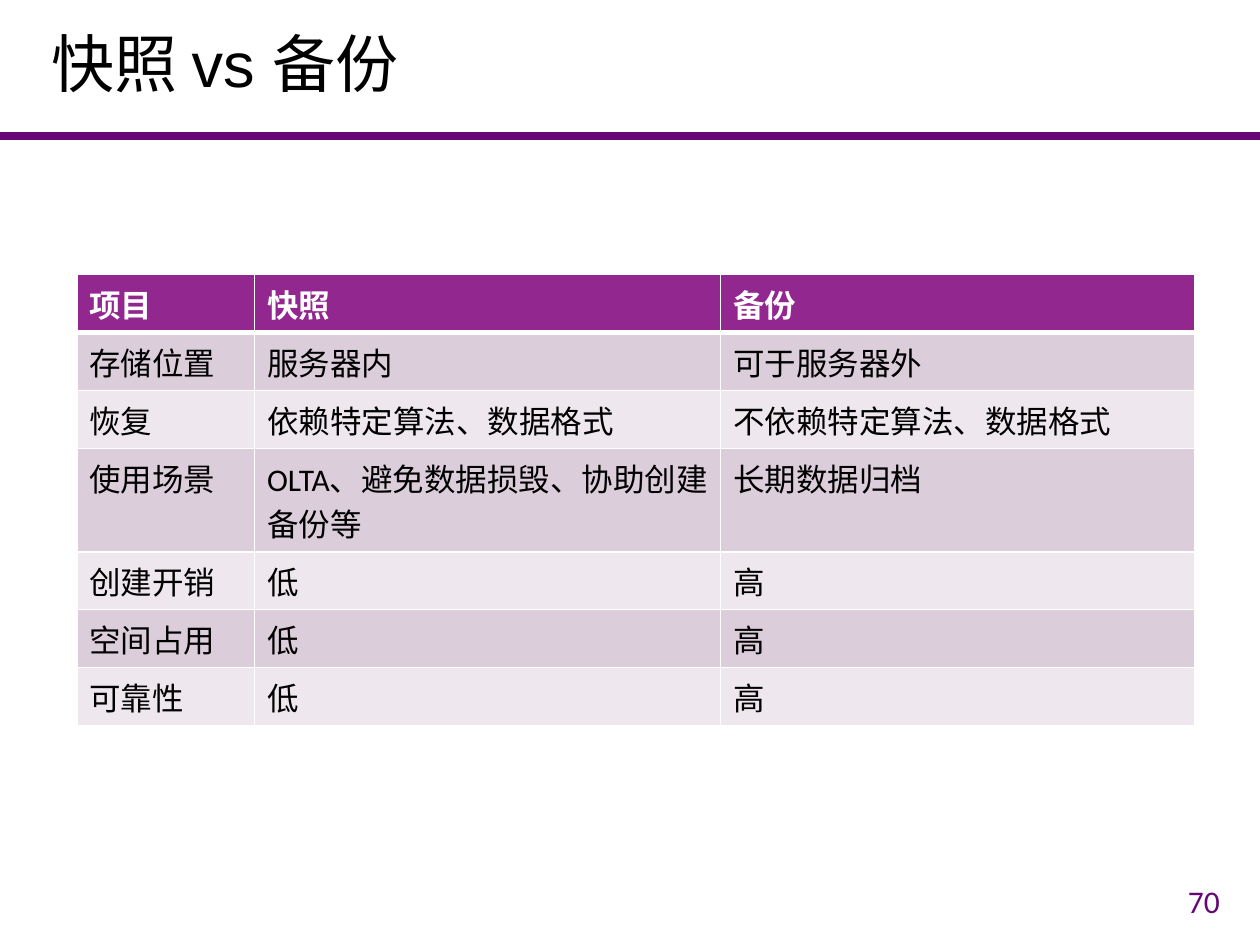
"""Build a slide that compares snapshots with backups in a table."""
from lxml import etree
from pptx import Presentation
from pptx.dml.color import RGBColor
from pptx.enum.shapes import MSO_CONNECTOR
from pptx.enum.text import MSO_ANCHOR, PP_ALIGN
from pptx.oxml.ns import qn
from pptx.util import Inches, Pt

STRAIGHT = MSO_CONNECTOR.STRAIGHT
MIDDLE = MSO_ANCHOR.MIDDLE
LEFT, RIGHT = PP_ALIGN.LEFT, PP_ALIGN.RIGHT

COLORS = {
    "accent": "670775",
    "header": "92278F",
    "odd_row": "DCCDDB",
    "even_row": "EEE8EE",
    "text": "000000",
    "white": "FFFFFF",
}
COLUMN_WIDTHS = [1.41, 3.7, 3.76]
ROW_HEIGHTS = [0.46, 0.46, 0.46, 0.82, 0.46, 0.46, 0.46]
COMPARISON = [
    ("项目", "快照", "备份"),
    ("存储位置", "服务器内", "可于服务器外"),
    ("恢复", "依赖特定算法、数据格式", "不依赖特定算法、数据格式"),
    ("使用场景", "OLTA、避免数据损毁、协助创建备份等", "长期数据归档"),
    ("创建开销", "低", "高"),
    ("空间占用", "低", "高"),
    ("可靠性", "低", "高"),
]


def rgb(name):
    """Return the named colour."""
    return RGBColor.from_string(COLORS[name])


def write(frame, text, color, align=LEFT, **font_format):
    """Put one formatted paragraph in a text frame."""
    frame.text = text
    paragraph = frame.paragraphs[0]
    paragraph.alignment = align
    font = paragraph.runs[0].font
    for attribute, value in font_format.items():
        setattr(font, attribute, value)
    font.color.rgb = rgb(color)
    return paragraph


def place(shape, left, top, width, height):
    """Move and size a shape, in inches."""
    bounds = {"left": left, "top": top, "width": width, "height": height}
    for attribute, value in bounds.items():
        setattr(shape, attribute, Inches(value))


def add_title(slide, text):
    """Fill and format the title placeholder."""
    title = slide.shapes.title
    place(title, 0.31, 0.09, 9.47, 0.89)
    title.text_frame.vertical_anchor = MIDDLE
    heading = write(title.text_frame, text, "text", size=Pt(36), name="Arial")
    heading.line_spacing = 0.9


def add_title_rule(slide):
    """Draw the rule below the title across the slide."""
    rule = slide.shapes.add_connector(
        STRAIGHT, Inches(0), Inches(1.08), Inches(10), Inches(1.08))
    rule.line.color.rgb = rgb("accent")
    rule.line.width = Pt(4.5)
    etree.SubElement(rule._element.spPr, qn("a:effectLst"))


def add_page_number(slide, number):
    """Write the page number at the lower right."""
    box = slide.shapes.add_textbox(
        Inches(7.53), Inches(6.95), Inches(2.25), Inches(0.4))
    box.text_frame.word_wrap = True
    box.text_frame.vertical_anchor = MIDDLE
    write(box.text_frame, number, "accent", RIGHT, size=Pt(18), name="Calibri")


def set_borders(cell, widths):
    """Give a cell white borders with the given widths in points."""
    properties = cell._tc.get_or_add_tcPr()
    for position, (side, width) in enumerate(widths.items()):
        border = etree.Element(qn(f"a:ln{side}"), w=str(Pt(width)))
        fill = etree.SubElement(border, qn("a:solidFill"))
        etree.SubElement(fill, qn("a:srgbClr"), val=COLORS["white"])
        properties.insert(position, border)


def add_comparison(slide):
    """Add the comparison table with a header and banded rows."""
    table = slide.shapes.add_table(
        len(COMPARISON), len(COLUMN_WIDTHS), Inches(0.61), Inches(2.18),
        Inches(sum(COLUMN_WIDTHS)), Inches(sum(ROW_HEIGHTS))).table
    for column, width in zip(table.columns, COLUMN_WIDTHS):
        column.width = Inches(width)
    for row, height in zip(table.rows, ROW_HEIGHTS):
        row.height = Inches(height)
    for row, texts in enumerate(COMPARISON):
        is_header = row == 0
        band = "header" if is_header else "odd_row" if row % 2 else "even_row"
        widths = {"L": 1, "R": 1, "T": 3 if row == 1 else 1,
                  "B": 3 if is_header else 1}
        for column, text in enumerate(texts):
            cell = table.cell(row, column)
            cell.fill.solid()
            cell.fill.fore_color.rgb = rgb(band)
            set_borders(cell, widths)
            write(cell.text_frame, text, "white" if is_header else "text",
                  size=Pt(18), name="Calibri", bold=is_header)


def main():
    """Build and save the slide."""
    presentation = Presentation()
    presentation.slide_width = Inches(10)
    presentation.slide_height = Inches(7.5)
    slide = presentation.slides.add_slide(presentation.slide_layouts[5])
    add_title_rule(slide)
    add_title(slide, "快照 vs 备份")
    add_page_number(slide, "70")
    add_comparison(slide)
    presentation.save("out.pptx")


if __name__ == "__main__":
    main()
